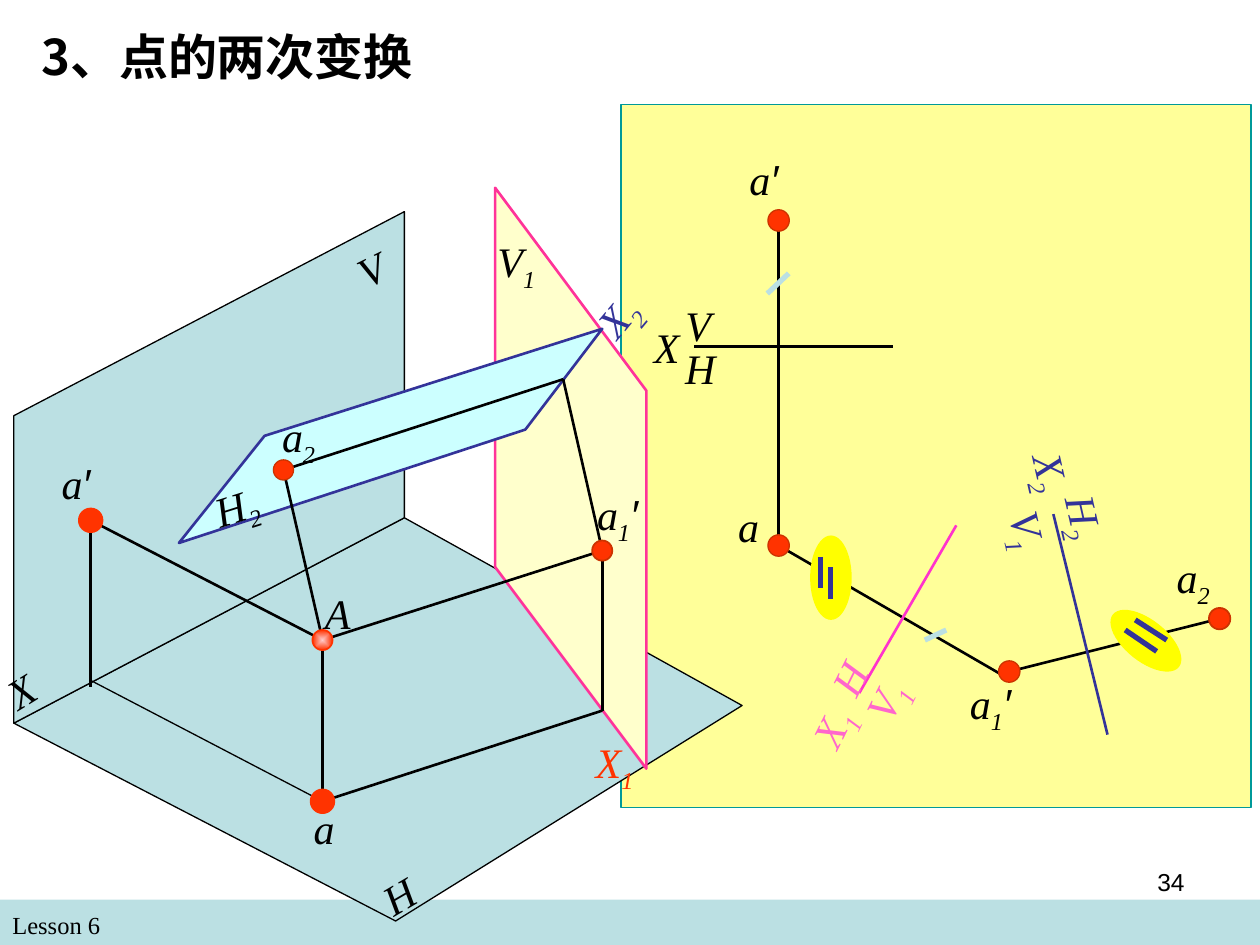
from lxml import etree
from pptx import Presentation
from pptx.dml.color import RGBColor
from pptx.enum.shapes import MSO_CONNECTOR, MSO_SHAPE
from pptx.enum.text import PP_ALIGN
from pptx.oxml.ns import qn
from pptx.util import Cm, Pt

BLACK = RGBColor(0x00, 0x00, 0x00)
PALE_TEAL = RGBColor(0xBB, 0xE0, 0xE3)
TEAL = RGBColor(0x00, 0x99, 0x99)
PAPER = RGBColor(0xFF, 0xFF, 0x99)
CREAM = RGBColor(0xFF, 0xFF, 0xCC)
YELLOW = RGBColor(0xFF, 0xFF, 0x00)
ICE = RGBColor(0xCC, 0xFF, 0xFF)
INDIGO = RGBColor(0x33, 0x33, 0x99)
RED = RGBColor(0xFF, 0x33, 0x00)
DARK_RED = RGBColor(0xCC, 0x33, 0x00)
BLUSH = RGBColor(0xFF, 0xCC, 0xCC)
ROSE = RGBColor(0xFF, 0x33, 0x99)
MAGENTA = RGBColor(0xFF, 0x33, 0xCC)
PINK = RGBColor(0xFF, 0x66, 0xCC)
SERIF, SANS, CJK = "Times New Roman", "Arial", "Noto Sans CJK SC"

# Key points, in inches: spatial view, then flat view
A, A_V, A_H = (2.56, 5.08), (0.72, 4.13), (2.56, 6.36)
A1, A1_FOOT, A2, A2_FOOT = (4.78, 4.37), (4.78, 5.64), (2.25, 3.73), (4.47, 3.01)
FLAT_V, FLAT_H, FLAT_1, FLAT_2 = (6.18, 1.75), (6.18, 4.33), (8.01, 5.33), (9.68, 4.91)

# Layers from back to front
# planes: points, fill, line, width      ovals: left, top, rotation
# lines: from, to, colour, width         dots: centre, size, line, width
# labels: text, left, top, width, rotation, colour (digits are subscripts)
LAYERS = [
    {  # Planes V and H
        "planes": [
            ([(3.21, 4.11), (5.89, 5.6), (3.14, 7.31), (0.11, 5.74)], PALE_TEAL, BLACK, 0.75),
            ([(3.21, 1.68), (3.21, 4.11), (0.11, 5.74), (0.11, 3.3)], PALE_TEAL, BLACK, 0.75),
        ],
        "labels": [
            ("V", 2.74, 1.86, 0.5, 333.7, BLACK),
            ("X", -0.07, 5.11, 0.87, 328.3, BLACK),
            ("H", 2.94, 6.84, 0.5, 329.6, BLACK),
        ],
    },
    {  # Flat projections
        "lines": [
            (FLAT_1, FLAT_2, BLACK, 1.5),
            ((5.51, 2.75), (7.09, 2.75), BLACK, 1.5),
            (FLAT_V, FLAT_H, BLACK, 1.5),
            (FLAT_H, (8.01, 5.39), BLACK, 1.5),
            ((6.82, 5.5), (7.59, 4.17), MAGENTA, 1.5),
            ((6.26, 2.17), (6.09, 2.33), PALE_TEAL, 3),
            ((7.51, 5), (7.34, 5.08), PALE_TEAL, 3),
        ],
        "dots": [
            (FLAT_2, 0.17, DARK_RED, 1),
            (FLAT_V, 0.17, DARK_RED, 0.75),
            (FLAT_H, 0.17, DARK_RED, 0.75),
            (FLAT_1, 0.17, DARK_RED, 0.75),
        ],
        "labels": [
            ("a2", 9.24, 4.33, 0.7, 0, BLACK),
            ("a′", 5.85, 1.17, 0.7, 0, BLACK),
            ("a", 5.76, 3.92, 0.8, 0, BLACK),
            ("a1′", 7.6, 5.33, 0.7, 0, BLACK),
            ("X", 5.09, 2.5, 0.58, 0, BLACK),
            ("V", 5.34, 2.33, 0.42, 0, BLACK),
            ("H", 5.34, 2.67, 0.5, 0, BLACK),
            ("X1", 6.35, 5.47, 0.58, 296.5, PINK),
            ("H", 6.52, 5.14, 0.42, 296.5, PINK),
            ("V1", 6.63, 5.02, 1.1, 296.5, PINK),
        ],
    },
    {  # Equal-length marks and plane V1
        "ovals": [(6.43, 4.25, 0), (8.93, 4.75, 308.5)],
        "planes": [
            ([(5.13, 6.1), (3.93, 4.5), (3.93, 1.49), (5.13, 3.1)], CREAM, ROSE, 1.5),
        ],
        "lines": [
            ((8.36, 4.08), (8.79, 5.83), INDIGO, 1.5),
            ((6.51, 4.42), (6.51, 4.67), INDIGO, 3),
            ((6.59, 4.5), (6.59, 4.75), INDIGO, 3),
            ((8.93, 5), (9.18, 5.17), INDIGO, 3),
            ((9.01, 4.92), (9.26, 5.08), INDIGO, 3),
        ],
        "labels": [
            ("V1", 3.85, 1.82, 0.87, 0, BLACK),
            ("X1", 4.63, 5.8, 1, 0, RED),
            ("X2", 7.95, 3.63, 0.82, 77.2, INDIGO),
            ("H2", 8.27, 3.89, 0.66, 77.2, INDIGO),
            ("V1", 7.79, 4.06, 0.76, 77.2, INDIGO),
        ],
    },
    {  # Plane H2 and the projectors of A
        "planes": [
            ([(4.17, 3.41), (4.78, 2.61), (2.1, 3.46), (1.42, 4.31)], ICE, INDIGO, 1.5),
        ],
        "lines": [
            (A1, A2_FOOT, BLACK, 1.5),
            (A, A2, BLACK, 1.5),
            (A2, A2_FOOT, BLACK, 1.5),
            (A_H, A1_FOOT, BLACK, 1.5),
            (A, A1, BLACK, 1.5),
            (A1, A1_FOOT, BLACK, 1.5),
            (A_V, (0.72, 5.45), BLACK, 1.5),
            (A, A_H, BLACK, 1.5),
            ((0.72, 5.4), A_H, BLACK, 0.75),
            (A_V, A, BLACK, 1.5),
        ],
        "dots": [
            (A2, 0.16, DARK_RED, 0.75),
            (A1, 0.16, DARK_RED, 1),
            (A_V, 0.16, RED, 3),
            (A_H, 0.16, RED, 3),
            (A, 0.16, RED, 1),
        ],
        "labels": [
            ("H2", 1.61, 3.75, 0.62, 342.4, BLACK),
            ("X2", 4.6, 2.11, 0.87, 309.9, INDIGO),
            ("a2", 2.14, 3.21, 0.7, 0, BLACK),
            ("a1′", 4.64, 3.83, 0.7, 0, BLACK),
            ("a′", 0.39, 3.58, 0.8, 0, BLACK),
            ("A", 2.48, 4.61, 0.5, 0, BLACK),
            ("a", 2.39, 6.32, 0.8, 0, BLACK),
        ],
    },
]

prs = Presentation()


def cm(inches):
    return Cm(inches * 2.54)


prs.slide_width, prs.slide_height = cm(10), cm(7.5)
s = prs.slides.add_slide(prs.slide_layouts[6])


def paint(sp, fill, line=None, width=0.75):
    sp.shadow.inherit = False
    sp.fill.solid()
    sp.fill.fore_color.rgb = fill
    if line is None:
        sp.line.fill.background()
    else:
        sp.line.color.rgb = line
        sp.line.width = Pt(width)
    return sp


def add_preset(kind, left, top, width, height, *style):
    sp = s.shapes.add_shape(kind, cm(left), cm(top), cm(width), cm(height))
    return paint(sp, *style)


def add_plane(points, *style):
    corners = [(cm(x), cm(y)) for x, y in points]
    builder = s.shapes.build_freeform(*corners[0], scale=1.0)
    builder.add_line_segments(corners[1:], close=True)
    paint(builder.convert_to_shape(), *style)


def add_oval(left, top, rotation):
    add_preset(MSO_SHAPE.OVAL, left, top, 0.33, 0.67, YELLOW).rotation = rotation


def add_line(start, end, color, width):
    c = s.shapes.add_connector(MSO_CONNECTOR.STRAIGHT, *map(cm, start + end))
    c.line.color.rgb = color
    c.line.width = Pt(width)
    etree.SubElement(c._element.spPr, qn("a:effectLst"))


def add_dot(center, size, line, width):
    x, y = center
    sp = add_preset(MSO_SHAPE.OVAL, x - size / 2, y - size / 2, size, size, RED, line, width)
    if center == A:  # the point in space glows from its middle
        sp.fill.gradient()
        for stop, color in zip(sp.fill.gradient_stops, (BLUSH, RED)):
            stop.color.rgb = color
        grad = sp._element.spPr.find(qn("a:gradFill"))
        grad.remove(grad.find(qn("a:lin")))
        glow = etree.SubElement(grad, qn("a:path"), path="rect")
        etree.SubElement(glow, qn("a:fillToRect"), l="50000", t="50000", r="50000", b="50000")


def add_box(left, top, width, height):
    sp = s.shapes.add_textbox(cm(left), cm(top), cm(width), cm(height))
    sp.text_frame.word_wrap = True
    return sp, sp.text_frame.paragraphs[0]


def add_run(p, text, size, font, color=BLACK):
    r = p.add_run()
    r.text = text
    r.font.size, r.font.name, r.font.color.rgb = Pt(size), font, color
    return r


def add_label(text, left, top, width, rotation, color):
    height = 0.56 if any(ch.isdigit() for ch in text) else 0.5
    sp, p = add_box(left, top, width, height)
    sp.rotation = rotation
    for ch in text:
        r = add_run(p, ch, 24, SANS if ch == "′" else SERIF, color)
        r.font.italic = True
        if ch.isdigit():
            r._r.get_or_add_rPr().set("baseline", "-25000")


# Footer band and drawing sheet
add_preset(MSO_SHAPE.RECTANGLE, 0, 7.14, 10, 0.36, PALE_TEAL)
add_run(add_box(0, 7.17, 4.83, 0.34)[1], "Lesson 6", 14, SERIF)
add_preset(MSO_SHAPE.RECTANGLE, 4.93, 0.83, 5, 5.58, PAPER, TEAL)

# Drawing
DRAW = {"ovals": add_oval, "planes": add_plane, "lines": add_line,
        "dots": add_dot, "labels": add_label}
for layer in LAYERS:
    for kind, draw in DRAW.items():
        for item in layer.get(kind, []):
            draw(*item)

# Title and page number
p = add_box(0.23, 0.23, 3.2, 0.57)[1]
p.line_spacing = 0.85
r = add_run(p, "3、点的两次变换", 28, CJK)
r.font.bold = True
etree.SubElement(r._r.get_or_add_rPr(), qn("a:ea"), typeface=CJK)
p = add_box(7.17, 6.83, 2.33, 0.52)[1]
p.alignment = PP_ALIGN.RIGHT
add_run(p, "34", 14, SANS)

prs.save("out.pptx")
